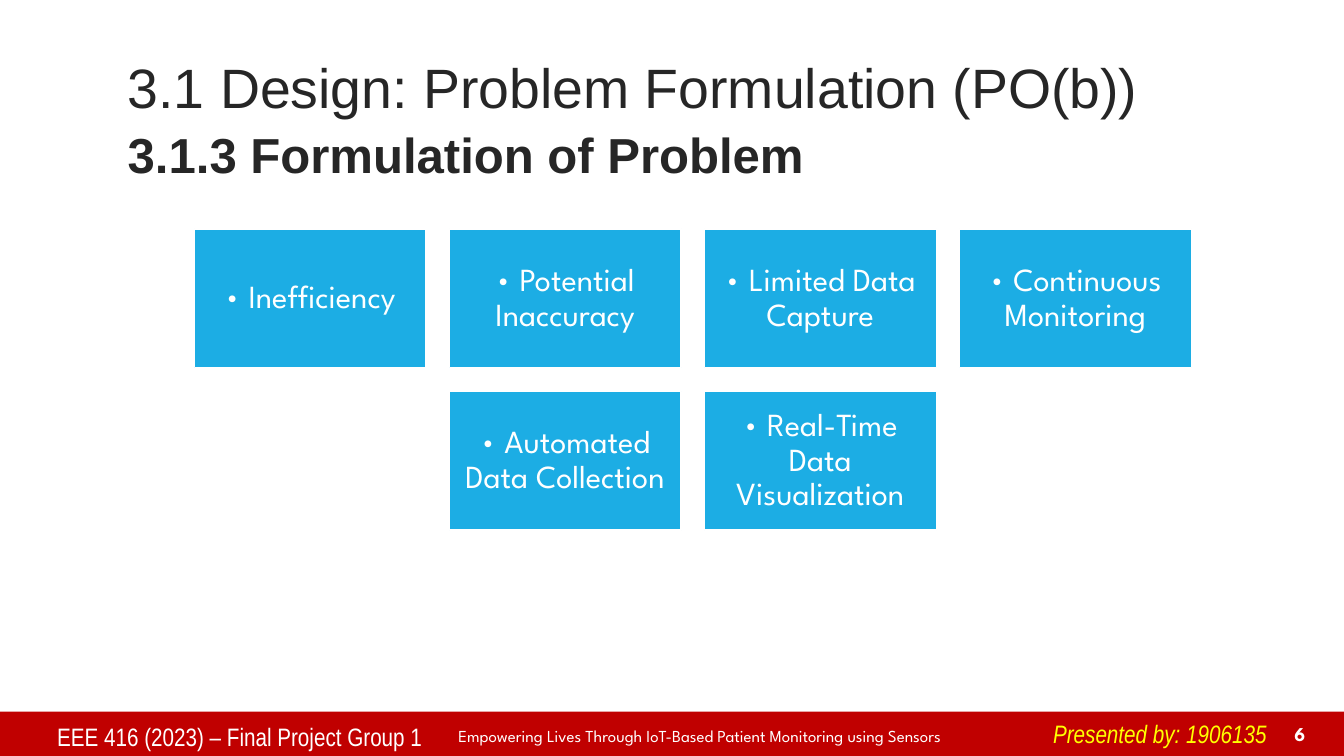
from pptx import Presentation
from pptx.dml.color import RGBColor
from pptx.enum.shapes import MSO_SHAPE as Shape
from pptx.enum.text import MSO_ANCHOR as Anchor, PP_ALIGN as Align
from pptx.util import Cm, Pt

COLORS = {
    "band": "C00000",
    "card": "1CADE4",
    "title": "262626",
    "light": "FFFFFF",
    "presenter": "FFFF00",
}

HEADINGS = [
    ("3.1 Design: Problem Formulation (PO(b))", 1.27, 39.6, False),
    ("3.1.3 Formulation of Problem", 2.95, 35.1, True),
]

PROBLEM_ROWS = [
    ["Inefficiency", "Potential Inaccuracy", "Limited Data Capture", "Continuous Monitoring"],
    ["Automated Data Collection", "Real-Time Data Visualization"],
]

COURSE = "EEE 416 (2023) – Final Project Group 1"
PROJECT = "Empowering Lives Through IoT-Based Patient Monitoring using Sensors"
PRESENTER = "Presented by: 1906135"
PAGE_NUMBER = "6"

SLIDE_WIDTH, SLIDE_HEIGHT = 33.87, 19.05
BAND_TOP, BAND_HEIGHT = 17.93, 1.14
CARD_WIDTH, CARD_HEIGHT, CARD_GAP = 5.84, 3.5, 0.59
CARDS_CENTER, CARDS_TOP = 17.46, 5.77


def write(shape, text, size, font, color, bold=False, italic=False,
          align=Align.LEFT, anchor=Anchor.TOP, spacing=1.0, wrap=True):
    frame = shape.text_frame
    frame.word_wrap = wrap
    frame.vertical_anchor = anchor
    paragraph = frame.paragraphs[0]
    paragraph.alignment = align
    paragraph.line_spacing = spacing
    run = paragraph.add_run()
    run.text = text
    run.font.size = Pt(size)
    run.font.name = font
    run.font.bold = bold
    run.font.italic = italic
    run.font.color.rgb = RGBColor.from_string(COLORS[color])


def add_text(slide, left, top, width, height, *content, **style):
    box = slide.shapes.add_textbox(Cm(left), Cm(top), Cm(width), Cm(height))
    write(box, *content, **style)


def add_block(slide, left, top, width, height, color):
    block = slide.shapes.add_shape(Shape.RECTANGLE, Cm(left), Cm(top), Cm(width), Cm(height))
    block.shadow.inherit = False
    block.fill.solid()
    block.fill.fore_color.rgb = RGBColor.from_string(COLORS[color])
    block.line.fill.background()
    return block


def add_card(slide, left, top, problem):
    card = add_block(slide, left, top, CARD_WIDTH, CARD_HEIGHT, "card")
    card.line.color.rgb = RGBColor.from_string(COLORS["light"])
    card.line.width = Pt(1)
    frame = card.text_frame
    frame.margin_left = frame.margin_right = Cm(0.25)
    frame.margin_top = frame.margin_bottom = Cm(0.25)
    write(card, f"• {problem}", 23, "League Spartan", "light",
          align=Align.CENTER, anchor=Anchor.MIDDLE, spacing=0.9)


def main():
    presentation = Presentation()
    presentation.slide_width = Cm(SLIDE_WIDTH)
    presentation.slide_height = Cm(SLIDE_HEIGHT)
    slide = presentation.slides.add_slide(presentation.slide_layouts[6])

    add_block(slide, 0, BAND_TOP, SLIDE_WIDTH, BAND_HEIGHT, "band")

    for text, top, size, bold in HEADINGS:
        add_text(slide, 2.97, top, 27.94, 2.03, text, size, "Arial", "title",
                 bold=bold, anchor=Anchor.MIDDLE, spacing=0.9)

    for row, problems in enumerate(PROBLEM_ROWS):
        row_width = len(problems) * (CARD_WIDTH + CARD_GAP) - CARD_GAP
        row_left = CARDS_CENTER - row_width / 2
        top = CARDS_TOP + row * (CARD_HEIGHT + CARD_GAP)
        for column, problem in enumerate(problems):
            add_card(slide, row_left + column * (CARD_WIDTH + CARD_GAP), top, problem)

    add_text(slide, 1.19, 18.06, 13.41, 1.04, COURSE, 18, "Arial Narrow", "light")
    add_text(slide, 11.3, 18.16, 15.93, 1.04, PROJECT, 12, "League Spartan", "light")
    add_text(slide, 26.29, 17.98, 5.97, 1.02, PRESENTER, 18, "Arial Narrow", "presenter",
             italic=True, wrap=False)
    add_text(slide, 31.7, 18.06, 1.45, 0.86, PAGE_NUMBER, 14, "League Spartan", "light",
             bold=True, align=Align.RIGHT, anchor=Anchor.BOTTOM)

    presentation.save("out.pptx")


if __name__ == "__main__":
    main()
